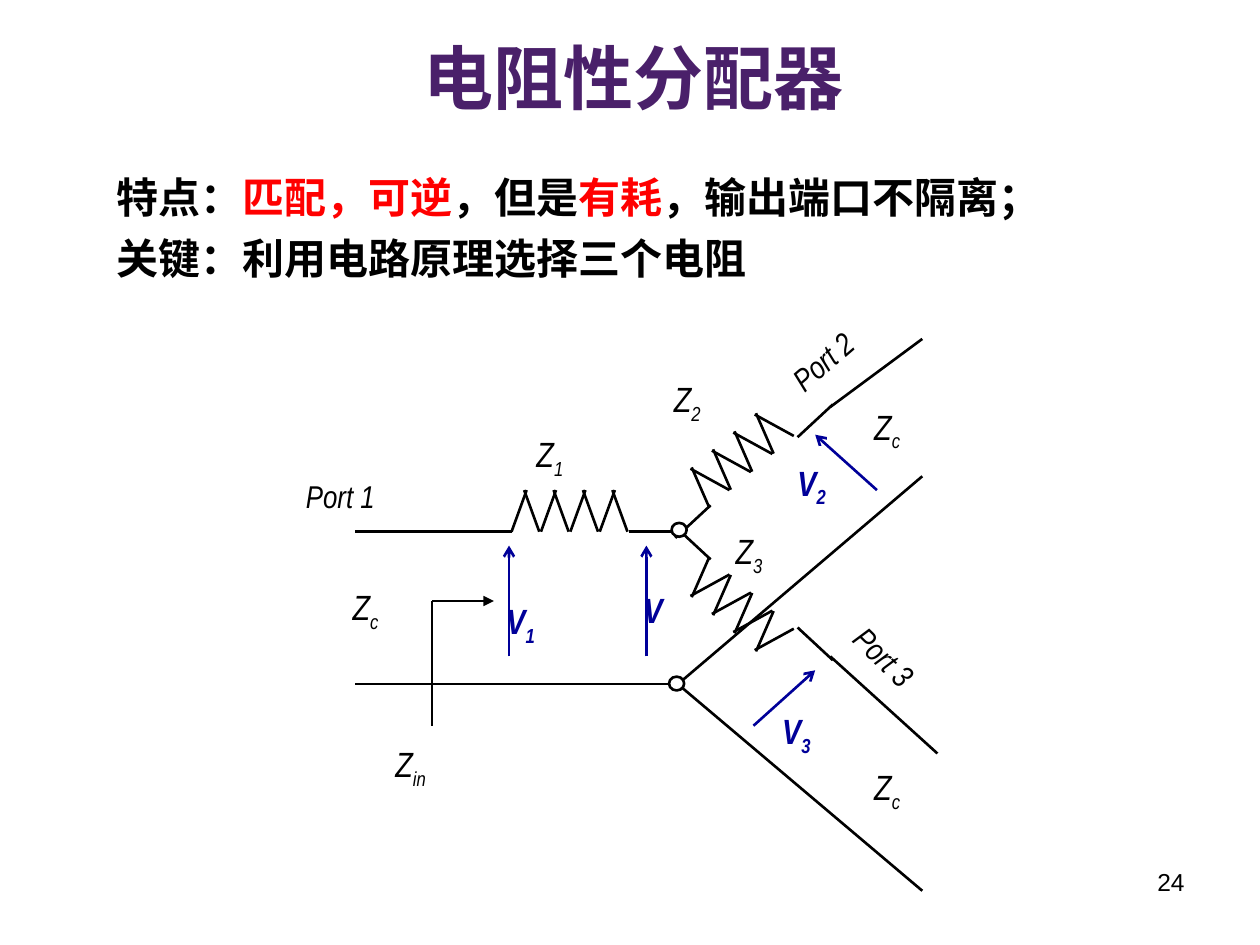
from typing import NamedTuple

import pptx
import pptx.dml.color
import pptx.enum.shapes
import pptx.enum.text
import pptx.oxml.ns
import pptx.util
from lxml import etree

Inches = pptx.util.Inches
Pt = pptx.util.Pt
RGBColor = pptx.dml.color.RGBColor
PP_ALIGN = pptx.enum.text.PP_ALIGN
MSO_ANCHOR = pptx.enum.text.MSO_ANCHOR
qn = pptx.oxml.ns.qn

BLACK = RGBColor(0x00, 0x00, 0x00)
WHITE = RGBColor(0xFF, 0xFF, 0xFF)
RED = RGBColor(0xFF, 0x00, 0x00)
BLUE = RGBColor(0x00, 0x00, 0x99)
PURPLE = RGBColor(0x4A, 0x20, 0x6A)
CJK_FONT = "Noto Sans CJK SC"
MIRROR_SUM = 8.45  # y of the upper branch plus y of the lower branch


class Wire(NamedTuple):
    x1: float
    y1: float
    x2: float
    y2: float
    color: RGBColor = BLACK
    head: str = ""

    def mirrored(self) -> "Wire":
        return self._replace(y1=MIRROR_SUM - self.y1, y2=MIRROR_SUM - self.y2)


class Label(NamedTuple):
    x: float
    y: float
    w: float
    h: float
    text: str
    sub: str = ""
    size: int = 20
    color: RGBColor = BLACK
    bold: bool = False
    rotation: float = 0


def zigzag(start: tuple, span: tuple, up: tuple, down: tuple) -> list[Wire]:
    """Four teeth; up and down hold (x1, y1, x2, y2) offsets of each stroke."""
    wires = []
    for i in range(4):
        x, y = start[0] + span[0] * i / 3, start[1] + span[1] * i / 3
        for dx1, dy1, dx2, dy2 in (up, down):
            wires.append(Wire(x + dx1, y + dy1, x + dx2, y + dy2))
    return wires


def draw_wire(s, wire: Wire) -> None:
    sp = s.shapes.add_connector(
        pptx.enum.shapes.MSO_CONNECTOR.STRAIGHT,
        Inches(wire.x1), Inches(wire.y1), Inches(wire.x2), Inches(wire.y2))
    sp.line.color.rgb = wire.color
    sp.line.width = Pt(1.5)
    if wire.head:
        etree.SubElement(sp.line._get_or_add_ln(), qn("a:tailEnd"), type=wire.head)
    etree.SubElement(sp._element.spPr, qn("a:effectLst"))


def draw_node(s, x: float, y: float) -> None:
    sp = s.shapes.add_shape(pptx.enum.shapes.MSO_SHAPE.OVAL,
                            Inches(x), Inches(y), Inches(0.12), Inches(0.11))
    sp.shadow.inherit = False
    sp.fill.solid()
    sp.fill.fore_color.rgb = WHITE
    sp.line.color.rgb = BLACK
    sp.line.width = Pt(1.5)


def add_run(p, text: str, font: str, size: int, color: RGBColor,
            bold: bool = False, italic: bool = False):
    r = p.add_run()
    r.text = text
    r.font.name = font
    r.font.size = Pt(size)
    r.font.bold = bold
    r.font.italic = italic
    r.font.color.rgb = color
    latin = r.font._element.find(qn("a:latin"))
    latin.addnext(latin.makeelement(qn("a:ea"), {"typeface": CJK_FONT}))
    return r


def add_text_box(s, x: float, y: float, w: float, h: float, wrap: bool = True):
    sp = s.shapes.add_textbox(Inches(x), Inches(y), Inches(w), Inches(h))
    sp.text_frame.word_wrap = wrap
    return sp


def draw_label(s, label: Label) -> None:
    sp = add_text_box(s, label.x, label.y, label.w, label.h, wrap=False)
    sp.rotation = label.rotation
    tf = sp.text_frame
    tf.vertical_anchor = MSO_ANCHOR.MIDDLE
    p = tf.paragraphs[0]
    style = ("Arial Narrow", label.size, label.color, label.bold, True)
    add_run(p, label.text, *style)
    if label.sub:
        r = add_run(p, label.sub, *style)
        r.font._element.set("baseline", "-25000")


def impedance(x: float, y: float, sub: str) -> Label:
    return Label(x, y, 0.47, 0.53, "Z", sub)


def voltage(x: float, y: float, sub: str = "") -> Label:
    return Label(x, y, 0.49 if sub else 0.4, 0.54, "V", sub, color=BLUE, bold=True)


def port(x: float, y: float, number: int, rotation: float = 0) -> Label:
    return Label(x, y, 0.87, 0.49, f"Port {number}", size=18, rotation=rotation)


SERIES_RESISTOR = zigzag((4.06, 4.22), (0.7, 0),
                         (0, 0, 0.12, -0.33), (0.22, 0, 0.1, -0.33))
UPPER_BRANCH = zigzag((5.63, 4.03), (0.51, -0.43),
                      (0, 0, -0.14, -0.32), (0.16, -0.14, -0.15, -0.31))
UPPER_BRANCH += [Wire(5.64, 4.01, 5.36, 4.27), Wire(6.61, 3.21, 6.33, 3.47)]
LOWER_BRANCH = [wire.mirrored() for wire in UPPER_BRANCH]

LINES = [
    Wire(2.82, 4.22, 4.06, 4.22),
    Wire(4.99, 4.22, 5.38, 4.22),
    Wire(2.82, 5.43, 5.38, 5.43),
    Wire(5.38, 5.43, 7.32, 7.07),
    Wire(5.38, 5.43, 7.32, 3.78),
    Wire(6.59, 5.21, 7.44, 5.98),
    Wire(6.59, 3.23, 7.32, 2.69),
    Wire(3.43, 4.77, 3.43, 5.76),
    Wire(3.43, 4.77, 3.92, 4.77, head="triangle"),
]
VOLTAGE_ARROWS = [
    Wire(4.04, 5.21, 4.04, 4.33, BLUE, "arrow"),
    Wire(5.13, 5.21, 5.13, 4.33, BLUE, "arrow"),
    Wire(6.96, 3.89, 6.47, 3.45, BLUE, "arrow"),
    Wire(5.98, 5.76, 6.47, 5.32, BLUE, "arrow"),
]
NODES = [(5.33, 4.15), (5.31, 5.37)]
LABELS = [
    impedance(3.04, 5.82, "in"), impedance(2.7, 4.57, "c"),
    impedance(6.84, 3.14, "c"), impedance(6.84, 6, "c"),
    impedance(4.16, 3.36, "1"), impedance(5.25, 2.92, "2"),
    impedance(5.74, 4.13, "3"),
    voltage(5.01, 4.57), voltage(3.92, 4.68, "1"),
    voltage(6.23, 3.58, "2"), voltage(6.11, 5.55, "3"),
    port(2.33, 3.69, 1), port(6.14, 2.58, 2, 319.3), port(6.63, 5.01, 3, 44.4),
]
FEATURES = [
    [("特点：", BLACK), ("匹配，可逆", RED), ("，但是", BLACK),
     ("有耗", RED), ("，输出端口不隔离；", BLACK)],
    [("关键：利用电路原理选择三个电阻", BLACK)],
]


def main() -> None:
    prs = pptx.Presentation()
    prs.slide_width, prs.slide_height = Inches(10), Inches(7.5)
    s = prs.slides.add_slide(prs.slide_layouts[5])

    # Title
    title = s.shapes.title
    title.left, title.top = Inches(3.22), Inches(0.22)
    title.width, title.height = Inches(3.62), Inches(0.77)
    tf = title.text_frame
    tf.auto_size = pptx.enum.text.MSO_AUTO_SIZE.NONE
    tf.vertical_anchor = MSO_ANCHOR.MIDDLE
    tf.paragraphs[0].alignment = PP_ALIGN.CENTER
    add_run(tf.paragraphs[0], "电阻性分配器", CJK_FONT, 40, PURPLE, True)

    # Features
    tf = add_text_box(s, 0.83, 1.31, 7.8, 1.11).text_frame
    for i, runs in enumerate(FEATURES):
        p = tf.add_paragraph() if i else tf.paragraphs[0]
        p.alignment = PP_ALIGN.JUSTIFY
        p.space_before = Pt(6 if i else 0)
        for text, color in runs:
            add_run(p, text, "Arial", 24, color, True)

    # Circuit
    for wire in SERIES_RESISTOR + UPPER_BRANCH + LOWER_BRANCH + LINES + VOLTAGE_ARROWS:
        draw_wire(s, wire)
    for x, y in NODES:
        draw_node(s, x, y)
    for label in LABELS:
        draw_label(s, label)

    # Page number
    p = add_text_box(s, 7.17, 6.83, 2.33, 0.52).text_frame.paragraphs[0]
    p.alignment = PP_ALIGN.RIGHT
    add_run(p, "24", "Arial", 14, BLACK)

    prs.save("out.pptx")


if __name__ == "__main__":
    main()
